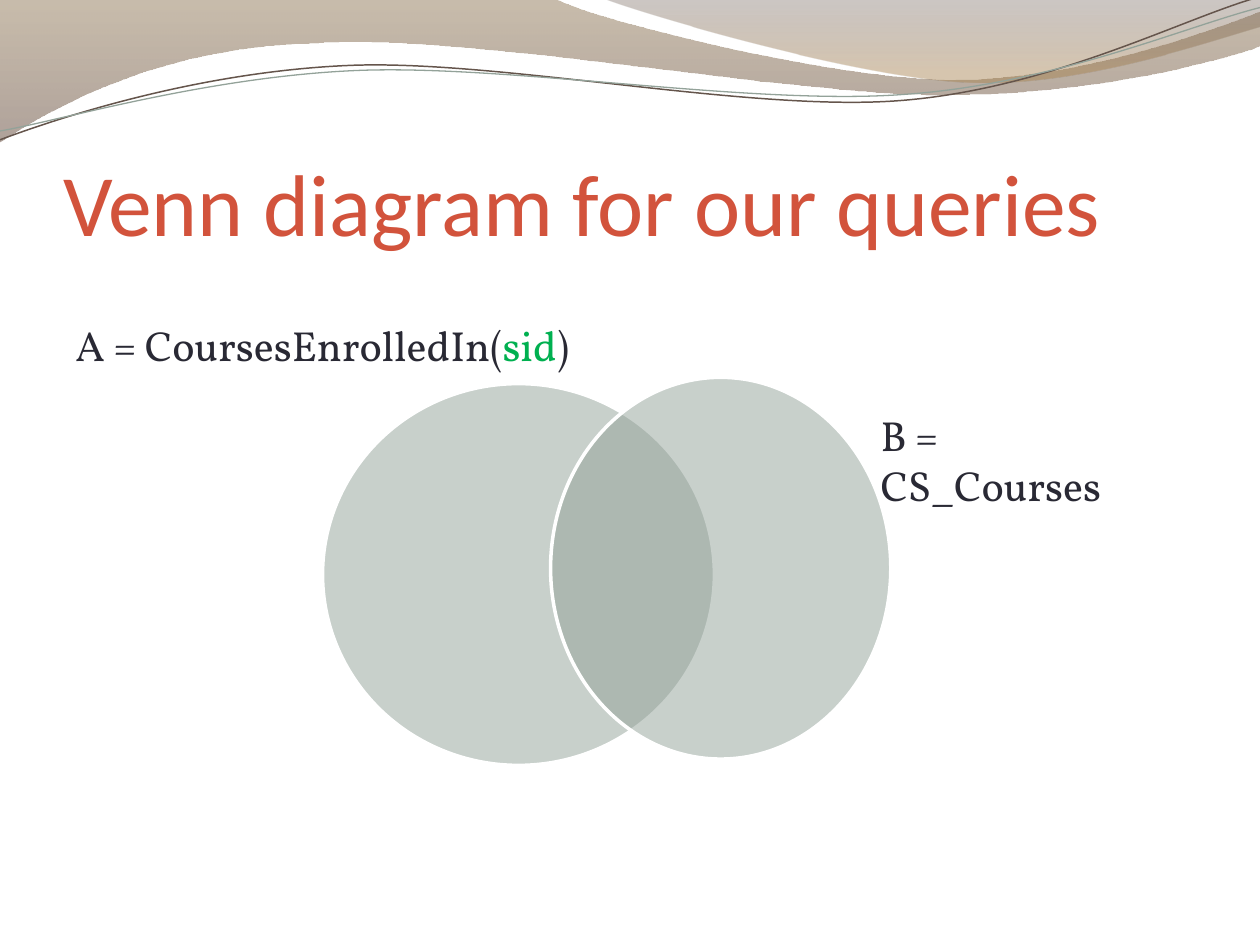
"""Build a slide with a two-set Venn diagram under a wave banner."""
from lxml import etree
from pptx import Presentation, util as u
from pptx.dml.color import RGBColor
from pptx.enum import shapes, text
from pptx.oxml.ns import qn

THEME = {
    "title": "D2533C", "ink": "292934", "parameter": "00B050", "set": "93A299", "rim": "FFFFFF",
    "title_font": "Calibri", "label_font": "Vollkorn", "title_size": 50, "label_size": 24,
}
COLUMNS, ROWS = 100, 75

deck = Presentation()
deck.slide_width, deck.slide_height = u.Inches(10), u.Inches(7.5)
column, row = deck.slide_width / COLUMNS, deck.slide_height / ROWS
slide = deck.slides.add_slide(deck.slide_layouts.get_by_name("Title Only"))


def cells(*lengths):
    """Turn alternating column and row counts into slide lengths."""
    return [round(n * (row if i % 2 else column)) for i, n in enumerate(lengths)]


def set_opacity(shape, percents):
    """Give each fill colour of a shape its opacity in percent."""
    for colour, percent in zip(shape._element.spPr.iter(qn("a:srgbClr")), percents):
        etree.SubElement(colour, qn("a:alpha"), val=str(percent * 1000))


waves = [
    {"track": [(-0.1, -0.1), (44, -0.1), (47.6, 1.7), (66.4, 6.3), (75.8, 6.3),
               (85.3, 6.3), (95.8, 2.6), (100, 0.9), (100.1, 3.6),
               (98.3, 4.4), (87, 7.6), (74.6, 7.5), (62.2, 7.5), (38.2, 2.8), (25.7, 3.4),
               (12.9, 3.6), (4.6, 8.3), (-0.1, 11.3)],
     "parts": "LCCLCCC", "stops": [(0, "856B47", 45), (1, "6E5547", 55)]},
    {"track": [(47.9, -0.1), (50.9, 1.1), (68.2, 6.2), (76.9, 6.5),
               (85.6, 6.9), (96.1, 3.2), (100, 2.1), (100, -0.1)],
     "parts": "CCL", "stops": [(0, "57463D", 30), (0.8, "A5804F", 45)]},
    {"track": [(0, 11.1), (4.8, 9.3), (15.8, 5.7), (27.7, 5.2), (39.5, 4.7), (59.3, 8.9),
               (71.3, 8), (83.3, 7.1), (93.8, 1.5), (99.8, -0.2)],
     "parts": "CCC", "line": ("65554C", 0.85)},
    {"track": [(0, 10.4), (4.7, 9.6), (16.4, 6.1), (28.3, 5.6), (40.3, 5.1), (59.7, 8.4),
               (71.7, 7.5), (83.6, 6.7), (94.1, 2.1), (100, 0.6)],
     "parts": "CCC", "line": ("93A299", 0.75)},
]
for wave in waves:
    start, *ahead = wave["track"]
    pen = slide.shapes.build_freeform(*cells(*start))
    pen.add_line_segments([cells(*point) for point in ahead], close="stops" in wave)
    band = pen.convert_to_shape()
    segments = iter(list(band._element.spPr.iter(qn("a:lnTo"))))
    for part in wave["parts"]:
        segment = next(segments)
        if part == "C":
            curve = etree.Element(qn("a:cubicBezTo"))
            segment.addprevious(curve)
            for control in (segment, next(segments), next(segments)):
                curve.append(control[0])
                control.getparent().remove(control)
    band.shadow.inherit = False
    if "stops" in wave:
        band.fill.gradient()
        band.fill.gradient_angle = 270
        for stop, (position, colour, _) in zip(band.fill.gradient_stops, wave["stops"]):
            stop.position = position
            stop.color.rgb = RGBColor.from_string(colour)
        set_opacity(band, [opacity for _, _, opacity in wave["stops"]])
        band.line.fill.background()
    else:
        colour, weight = wave["line"]
        band.fill.background()
        band.line.color.rgb = RGBColor.from_string(colour)
        band.line.width = u.Pt(weight)

title = slide.shapes.title
slide.shapes._spTree.append(title._element)
title.left, title.top, title.width, title.height = cells(5, 7.7, 90, 12.5)
heading = title.text_frame
heading.text = "Venn diagram for our queries"
heading.vertical_anchor = text.MSO_ANCHOR.BOTTOM
heading.auto_size = text.MSO_AUTO_SIZE.NONE
heading.margin_left = heading.margin_right = heading.margin_bottom = 0
heading.margin_top = u.Inches(0.05)
heading.paragraphs[0].alignment = text.PP_ALIGN.LEFT
title_font = heading.paragraphs[0].runs[0].font
title_font.name, title_font.size = THEME["title_font"], u.Pt(THEME["title_size"])
title_font.color.rgb = RGBColor.from_string(THEME["title"])

for place in [(25.6, 30.45, 31.1, 30.3), (43.7, 29.95, 27, 30.3)]:
    circle = slide.shapes.add_shape(shapes.MSO_SHAPE.OVAL, *cells(*place))
    circle.shadow.inherit = False
    circle.fill.solid()
    circle.fill.fore_color.rgb = RGBColor.from_string(THEME["set"])
    set_opacity(circle, [50])
    circle.line.color.rgb = RGBColor.from_string(THEME["rim"])
    circle.line.width = u.Pt(2)

set_labels = [
    ((5, 24.9, 41.5, 5), False, [("A = CoursesEnrolledIn(", "ink"), ("sid", "parameter"), (")", "ink")]),
    ((68.9, 32, 24, 5), True, [("B = CS_Courses", "ink")]),
]
for place, wraps, pieces in set_labels:
    label = slide.shapes.add_textbox(*cells(*place)).text_frame
    label.word_wrap = wraps
    for wording, colour in pieces:
        piece = label.paragraphs[0].add_run()
        piece.text = wording
        piece.font.name, piece.font.size = THEME["label_font"], u.Pt(THEME["label_size"])
        piece.font.color.rgb = RGBColor.from_string(THEME[colour])

deck.save("out.pptx")
